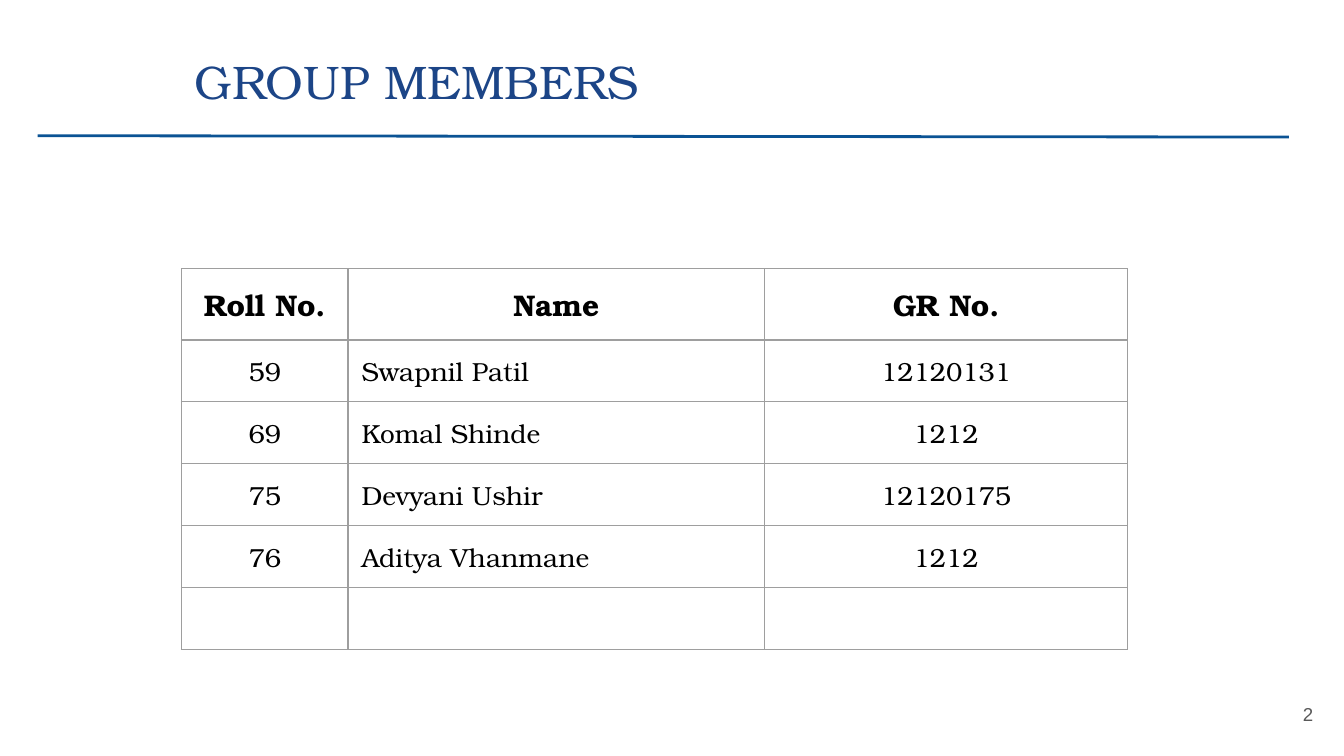
from pptx import Presentation, util as u
from pptx.dml.color import RGBColor
from pptx.enum import text as t
from pptx.oxml import parse_xml
from pptx.oxml.ns import nsdecls

TITLE = "GROUP MEMBERS"
PAGE_NUMBER = "2"
MEMBERS = [
    ("Roll No.", "Name", "GR No."),
    ("59", "Swapnil Patil", "12120131"),
    ("69", "Komal Shinde", "1212"),
    ("75", "Devyani Ushir", "12120175"),
    ("76", "Aditya Vhanmane ", "1212"),
    ("", "", ""),
]
THEME = {
    "serif": "TeX Gyre Bonum", "sans": "Arial",
    "title": "1C4587", "rule": "0B5394", "text": "000000",
    "number": "595959", "border": "9E9E9E",
    "title_size": 25.2, "head_size": 16, "body_size": 14, "number_size": 10,
}
LEFT, RIGHT, INSET = 1.35, 9.6, 0.1
COLUMNS = (1.24, 3.1, 2.7)
HEAD_ROW, BODY_ROW = 0.53, 0.46
SIDES = ("left", "top", "right", "bottom")
LEFT_ALIGN, CENTER, RIGHT_ALIGN = t.PP_ALIGN.LEFT, t.PP_ALIGN.CENTER, t.PP_ALIGN.RIGHT


def inches(*values):
    return [u.Inches(value) for value in values]


def inset(holder):
    for side in SIDES:
        setattr(holder, f"margin_{side}", u.Inches(INSET))


def write(frame, words, size, color, font, align, bold=False):
    para = frame.paragraphs[0]
    para.alignment = align
    if not words:
        para._p.append(parse_xml(f'<a:endParaRPr {nsdecls("a")} sz="{size * 100}"/>'))
        return
    span = para.add_run()
    span.text = words
    span.font.size = u.Pt(size)
    span.font.name = font
    span.font.bold = bold
    span.font.color.rgb = RGBColor.from_string(color)


def prepare(frame, anchor):
    frame.word_wrap = True
    frame.auto_size = t.MSO_AUTO_SIZE.NONE
    frame.vertical_anchor = anchor
    inset(frame)


def outline(cell):
    props = cell._tc.get_or_add_tcPr()
    for index, side in enumerate(("lnL", "lnR", "lnT", "lnB")):
        props.insert(index, parse_xml(
            f'<a:{side} {nsdecls("a")} w="{u.Pt(0.75)}"><a:solidFill>'
            f'<a:srgbClr val="{THEME["border"]}"/></a:solidFill></a:{side}>'))


deck = Presentation()
deck.slide_width = u.Inches(10)
deck.slide_height = deck.slide_width * 9 // 16
page = deck.slides.add_slide(deck.slide_layouts[5])

rule = page.shapes.add_connector(1, *inches(9.59, 1.02, 0.28, 1.01))
rule.line.color.rgb = RGBColor.from_string(THEME["rule"])
rule.line.width = u.Pt(1.5)
rule._element.spPr.append(parse_xml(f'<a:effectLst {nsdecls("a")}/>'))

title = page.shapes.title
title.left, title.top, title.width, title.height = inches(LEFT, 0.29, RIGHT - LEFT, 0.63)
prepare(title.text_frame, t.MSO_ANCHOR.TOP)
write(title.text_frame, TITLE, THEME["title_size"], THEME["title"], THEME["serif"], LEFT_ALIGN)

number = page.shapes.add_textbox(*inches(9.27, 5.1, 0.6, 0.43))
prepare(number.text_frame, t.MSO_ANCHOR.MIDDLE)
write(number.text_frame, PAGE_NUMBER, THEME["number_size"], THEME["number"],
      THEME["sans"], RIGHT_ALIGN)

height = HEAD_ROW + BODY_ROW * (len(MEMBERS) - 1)
table = page.shapes.add_table(len(MEMBERS), len(COLUMNS),
                              *inches(LEFT, 2, sum(COLUMNS), height)).table
table.horz_banding = False
for column, width in zip(table.columns, COLUMNS):
    column.width = u.Inches(width)
for r, member in enumerate(MEMBERS):
    head = r == 0
    table.rows[r].height = u.Inches(HEAD_ROW if head else BODY_ROW)
    for c, words in enumerate(member):
        cell = table.cell(r, c)
        cell.fill.background()
        inset(cell)
        outline(cell)
        write(cell.text_frame, words, THEME["head_size" if head else "body_size"],
              THEME["text"], THEME["serif"],
              LEFT_ALIGN if c == 1 and not head else CENTER, head)

deck.save("out.pptx")
